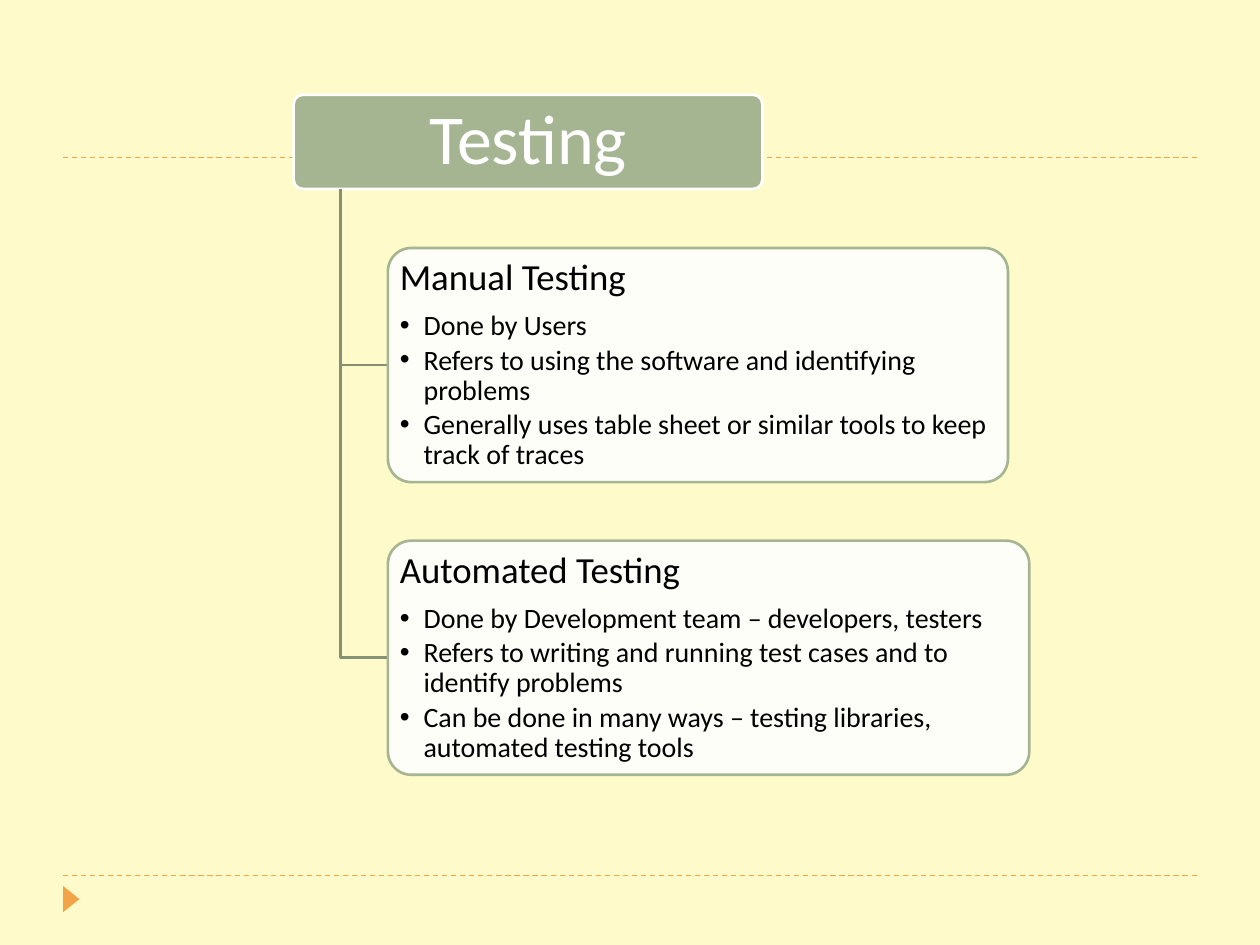
from lxml import etree
from pptx import Presentation
from pptx.dml.color import RGBColor
from pptx.enum.dml import MSO_LINE
from pptx.enum.shapes import MSO_CONNECTOR, MSO_SHAPE
from pptx.enum.text import MSO_ANCHOR, MSO_AUTO_SIZE, PP_ALIGN
from pptx.oxml.ns import qn
from pptx.util import Cm, Pt

DASH = MSO_LINE.DASH
STRAIGHT = MSO_CONNECTOR.STRAIGHT
ROUNDED, TRIANGLE = MSO_SHAPE.ROUNDED_RECTANGLE, MSO_SHAPE.ISOSCELES_TRIANGLE
TOP, MIDDLE = MSO_ANCHOR.TOP, MSO_ANCHOR.MIDDLE
LEFT, CENTER = PP_ALIGN.LEFT, PP_ALIGN.CENTER
NO_AUTOFIT = MSO_AUTO_SIZE.NONE

CREAM = RGBColor(0xFE, 0xFA, 0xC9)
ORANGE = RGBColor(0xF3, 0xA4, 0x47)
SAGE = RGBColor(0xA5, 0xB5, 0x92)
DARK_SAGE = RGBColor(0x84, 0x91, 0x75)
WHITE = RGBColor(0xFF, 0xFF, 0xFF)
BLACK = RGBColor(0, 0, 0)
FONT = "Calibri"

ROOT_X, ROOT_Y, ROOT_W, ROOT_H = 5.92, 1.91, 9.45, 1.9
TRUNK_X = 6.87
BOX_X, BOX_Y, BOX_H, BOX_STEP = 7.82, 5.0, 4.72, 5.9
BRANCHES = [
    (12.5, "Manual Testing", [
        "Done by Users",
        "Refers to using the software and identifying problems",
        "Generally uses table sheet or similar tools to keep track of traces",
    ]),
    (12.93, "Automated Testing", [
        "Done by Development team – developers, testers",
        "Refers to writing and running test cases and to identify problems",
        "Can be done in many ways – testing libraries, automated testing tools",
    ]),
]


def add_rule(s, y):
    """Draw a dashed rule across the slide."""
    line = s.shapes.add_connector(STRAIGHT, Cm(1.27), Cm(y), Cm(24.13), Cm(y))
    line.line.color.rgb = ORANGE
    line.line.width = Pt(0.75)
    line.line.dash_style = DASH
    etree.SubElement(line.element.spPr, qn("a:effectLst"))


def add_marker(s):
    """Draw the triangle in the footer, pointing right."""
    sp = s.shapes.add_shape(TRIANGLE, Cm(1.17), Cm(17.96), Cm(0.53), Cm(0.33))
    sp.rotation = 90
    sp.shadow.inherit = False
    sp.fill.solid()
    sp.fill.fore_color.rgb = ORANGE
    sp.line.fill.background()


def add_box(s, x, y, w, h, fill, line, opacity=100):
    """Draw a rounded box; opacity is a percentage."""
    sp = s.shapes.add_shape(ROUNDED, Cm(x), Cm(y), Cm(w), Cm(h))
    sp.adjustments[0] = 0.1
    sp.shadow.inherit = False
    sp.fill.solid()
    sp.fill.fore_color.rgb = fill
    if opacity < 100:
        color = sp.element.spPr.find(".//" + qn("a:srgbClr"))
        etree.SubElement(color, qn("a:alpha"), val=str(opacity * 1000))
    sp.line.color.rgb = line
    sp.line.width = Pt(1.5)


def add_elbow(s, y):
    """Draw the bent line from the root box to a branch box."""
    builder = s.shapes.build_freeform(Cm(TRUNK_X), Cm(ROOT_Y + ROOT_H))
    builder.add_line_segments([(Cm(TRUNK_X), Cm(y)), (Cm(BOX_X), Cm(y))], close=False)
    sp = builder.convert_to_shape()
    sp.shadow.inherit = False
    sp.fill.background()
    sp.line.color.rgb = DARK_SAGE
    sp.line.width = Pt(1.5)


def place_text(s, ph, x, y, w, h, anchor, inset_x, inset_y):
    """Move a placeholder to the front and into place; return its text frame."""
    s.shapes.element.append(ph.element)
    ph.left, ph.top, ph.width, ph.height = Cm(x), Cm(y), Cm(w), Cm(h)
    tf = ph.text_frame
    tf.word_wrap = True
    tf.auto_size = NO_AUTOFIT
    tf.vertical_anchor = anchor
    tf.margin_left = tf.margin_right = Cm(inset_x)
    tf.margin_top = tf.margin_bottom = Cm(inset_y)
    return tf


def write(p, text, size, color, align=LEFT, after=0):
    """Write one run in a paragraph with its spacing."""
    p.alignment = align
    p.line_spacing = 0.9
    p.space_before = Pt(0)
    p.space_after = Pt(after)
    r = p.add_run()
    r.text = text
    r.font.name = FONT
    r.font.size = Pt(size)
    r.font.color.rgb = color


def set_bullet(p, char=None):
    """Give a paragraph a hanging bullet, or none."""
    pPr = p._p.get_or_add_pPr()
    indent = Cm(0.48) if char else 0
    pPr.set("marL", str(indent))
    pPr.set("indent", str(-indent))
    if char:
        etree.SubElement(pPr, qn("a:buFont"), typeface="Arial")
        etree.SubElement(pPr, qn("a:buChar"), char=char)
    else:
        etree.SubElement(pPr, qn("a:buNone"))


def add_root(s):
    """Draw the root box with the slide title."""
    add_box(s, ROOT_X, ROOT_Y, ROOT_W, ROOT_H, SAGE, WHITE)
    tf = place_text(s, s.shapes.title, ROOT_X + 0.07, ROOT_Y + 0.05,
                    ROOT_W - 0.14, ROOT_H - 0.1, MIDDLE, 0.2, 0.15)
    write(tf.paragraphs[0], "Testing", 40, WHITE, CENTER)


def add_branch(s, ph, y, w, heading, items):
    """Draw a branch box with its heading and bullets."""
    add_elbow(s, y + BOX_H / 2)
    add_box(s, BOX_X, y, w, BOX_H, WHITE, SAGE, 90)
    tf = place_text(s, ph, BOX_X + 0.14, y + 0.14, w - 0.28, BOX_H - 0.28,
                    TOP, 0.1, 0.08)
    p = tf.paragraphs[0]
    write(p, heading, 21, BLACK, after=7.35)
    set_bullet(p)
    for item in items:
        p = tf.add_paragraph()
        p.level = 1
        write(p, item, 16, BLACK, after=2.4)
        set_bullet(p, "•")


def main():
    """Build the slide and save it."""
    prs = Presentation()
    prs.slide_width, prs.slide_height = Cm(25.4), Cm(19.05)
    s = prs.slides.add_slide(prs.slide_layouts[3])
    s.background.fill.solid()
    s.background.fill.fore_color.rgb = CREAM
    for y in (17.65, 3.18):
        add_rule(s, y)
    add_marker(s)
    add_root(s)
    bodies = [s.placeholders[1], s.placeholders[2]]
    for i, (ph, (w, heading, items)) in enumerate(zip(bodies, BRANCHES)):
        add_branch(s, ph, BOX_Y + i * BOX_STEP, w, heading, items)
    prs.save("out.pptx")


main()
